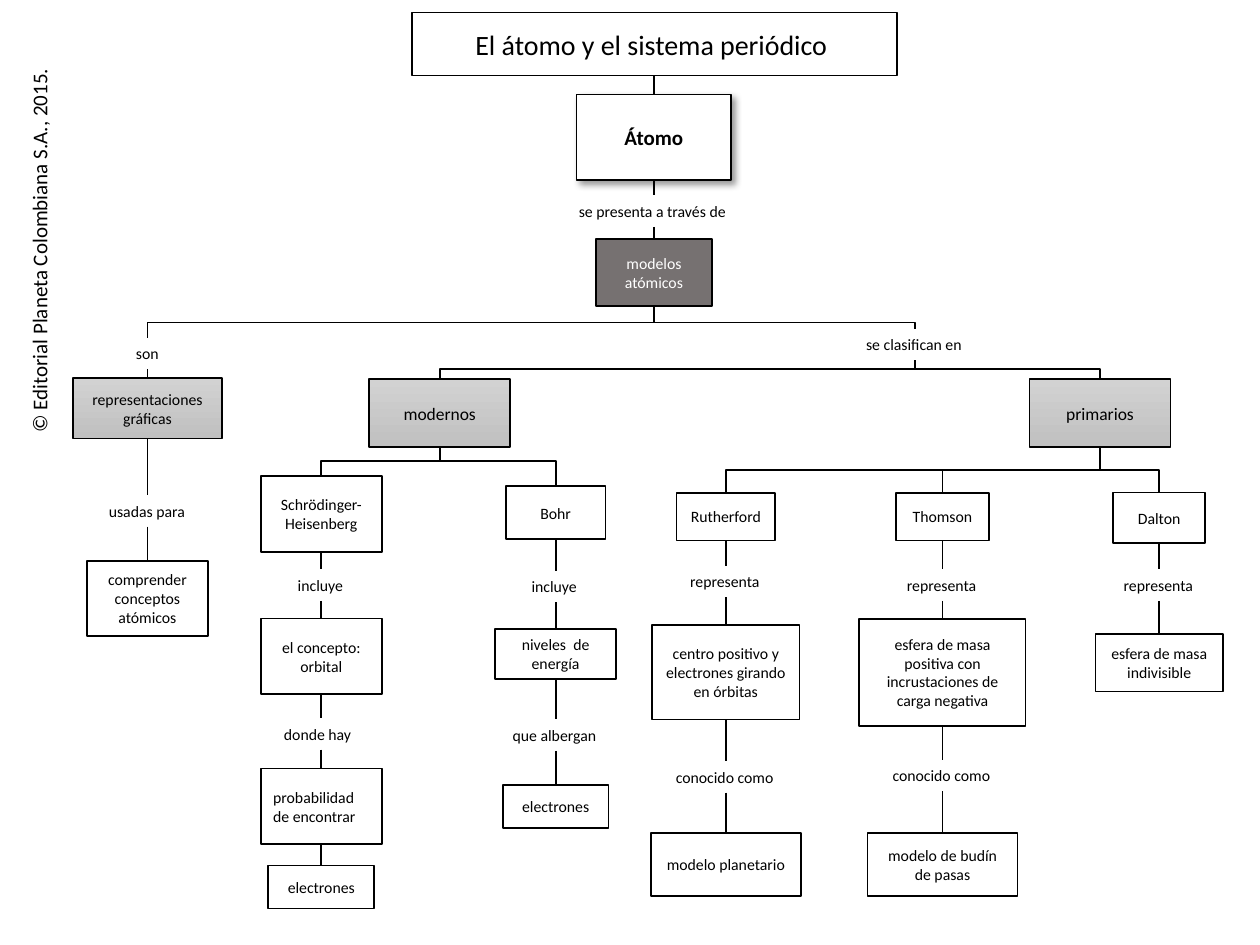
"""Build a concept map of the atom and its models on one slide."""

from itertools import pairwise

from lxml.etree import SubElement
from pptx import Presentation
from pptx.dml.color import RGBColor
from pptx.enum.shapes import MSO_CONNECTOR, MSO_SHAPE
from pptx.enum.text import MSO_ANCHOR, MSO_AUTO_SIZE, PP_ALIGN
from pptx.oxml.ns import qn
from pptx.util import Inches, Pt

BLACK = RGBColor(0x00, 0x00, 0x00)
WHITE = RGBColor(0xFF, 0xFF, 0xFF)
DARK_GRAY = RGBColor(0x76, 0x71, 0x71)
GRAY_TOP = RGBColor(0xD2, 0xD2, 0xD2)
GRAY_BOTTOM = RGBColor(0xC0, 0xC0, 0xC0)

deck = Presentation()
deck.slide_width, deck.slide_height = Inches(10), Inches(7.5)
UNIT = deck.slide_width // 1000
LABEL_ROWS = 25
page = deck.slides.add_slide(deck.slide_layouts[5])


def write(box, text, size=9, color=BLACK, bold=False, align=PP_ALIGN.CENTER,
          anchor=MSO_ANCHOR.MIDDLE, wrap=True):
    frame = box.text_frame
    frame.auto_size = MSO_AUTO_SIZE.NONE
    frame.word_wrap = wrap
    frame.vertical_anchor = anchor
    para = frame.paragraphs[0]
    para.alignment = align
    span = para.add_run()
    span.text = text
    span.font.name = "Calibri"
    span.font.size = Pt(size)
    span.font.bold = bold
    span.font.color.rgb = color


def link(start, end, bar=None):
    (left, top), (right, bottom) = start, end
    corners = [left, top, right, bottom]
    kind = MSO_CONNECTOR.STRAIGHT
    if bar is not None:
        kind = MSO_CONNECTOR.ELBOW
        middle, center = (left + right) / 2, (top + bottom) / 2
        along, across = (bottom - top) / 2, abs(right - left) / 2
        side = 1 if right < left else -1
        corners = [middle - side * along, center - across,
                   middle + side * along, center + across]
    line = page.shapes.add_connector(kind, *(int(value * UNIT) for value in corners))
    line.line.color.rgb = BLACK
    line.line.width = Pt(1)
    properties = line._element.spPr
    SubElement(properties, qn("a:effectLst"))
    if bar is not None:
        properties.find(qn("a:xfrm")).set("rot", str((90 if side > 0 else 270) * 60000))
        guides = properties.find(qn("a:prstGeom")).find(qn("a:avLst"))
        share = round((bar - top) / (bottom - top) * 100000)
        SubElement(guides, qn("a:gd"), name="adj1", fmla=f"val {share}")


title = page.shapes.title
title.left, title.top, title.width, title.height = (
    value * UNIT for value in (327, 10, 385, 50))
title.fill.solid()
title.fill.fore_color.rgb = WHITE
title.line.color.rgb = BLACK
title.line.width = Pt(1)
write(title, "El átomo y el sistema periódico ", size=16)
link((519, 60), (519, 75))

credit = page.shapes.add_textbox(*(value * UNIT for value in (-125, 182, 312, 30)))
credit.rotation = 270
write(credit, "© Editorial Planeta Colombiana S.A., 2015.", size=12,
      align=PP_ALIGN.LEFT, anchor=MSO_ANCHOR.TOP, wrap=False)

chains = [
    (519, [(75, 123, 68, "Átomo", "raised"),
           (155, 139, LABEL_ROWS, "se presenta a través de", "label"),
           (190, 92, 53, "modelos atómicos", "dark")]),
    (726, [(261, 97, LABEL_ROWS, "se clasifican en", "label")]),
    (349, [(301, 112, 54, "modernos", "gray")]),
    (873, [(301, 112, 54, "primarios", "gray")]),
    (117, [(268, 38, LABEL_ROWS, "son", "label"),
           (300, 118, 48, "representaciones gráficas", "small gray"),
           (393, 81, LABEL_ROWS, "usadas para", "label"),
           (445, 96, 60, "comprender conceptos atómicos", "plain")]),
    (255, [(378, 96, 60, "Schrödinger-Heisenberg", "plain"),
           (452, 57, LABEL_ROWS, "incluye", "label"),
           (491, 96, 60, "el concepto: orbital", "plain"),
           (570, 79, LABEL_ROWS, "donde hay", "label"),
           (610, 96, 60, "probabilidad de encontrar", "left"),
           (687, 84, 34, "electrones", "plain")]),
    (441, [(386, 79, 42, "Bohr", "plain"),
           (453, 58, LABEL_ROWS, "incluye", "label"),
           (499, 96, 40, "niveles  de energía", "plain"),
           (571, 88, LABEL_ROWS, "que albergan", "label"),
           (623, 84, 34, "electrones", "plain")]),
    (576, [(391, 78, 38, "Rutherford", "plain"),
           (449, 76, LABEL_ROWS, "representa", "label"),
           (496, 117, 75, "centro positivo y electrones girando en órbitas", "plain"),
           (604, 99, LABEL_ROWS, "conocido como", "label"),
           (661, 119, 50, "modelo planetario", "plain")]),
    (748, [(391, 74, 38, "Thomson", "plain"),
           (452, 76, LABEL_ROWS, "representa", "label"),
           (491, 132, 85,
            "esfera de masa positiva con incrustaciones de carga negativa", "plain"),
           (603, 99, LABEL_ROWS, "conocido como", "label"),
           (661, 119, 50, "modelo de budín de pasas", "plain")]),
    (920, [(391, 73, 40, "Dalton", "plain"),
           (452, 76, LABEL_ROWS, "representa", "label"),
           (503, 101, 46, "esfera de masa indivisible", "plain")]),
]
formats = {
    "plain": {},
    "left": {"align": PP_ALIGN.LEFT},
    "raised": {"size": 12, "bold": True},
    "dark": {"color": WHITE},
    "gray": {"size": 10},
    "small gray": {},
    "label": {"align": PP_ALIGN.LEFT, "anchor": MSO_ANCHOR.TOP, "wrap": False},
}

for column, nodes in chains:
    for top, width, height, text, style in nodes:
        area = [int(value * UNIT) for value in (column - width / 2, top, width, height)]
        if style == "label":
            box = page.shapes.add_textbox(*area)
        else:
            box = page.shapes.add_shape(MSO_SHAPE.RECTANGLE, *area)
            box.shadow.inherit = False
            box.line.color.rgb = BLACK
            box.line.width = Pt(1)
            if style.endswith("gray"):
                box.fill.gradient()
                box.fill.gradient_angle = 270
                for stop, shade in zip(box.fill.gradient_stops, (GRAY_TOP, GRAY_BOTTOM)):
                    stop.color.rgb = shade
            else:
                box.fill.solid()
                box.fill.fore_color.rgb = DARK_GRAY if style == "dark" else WHITE
        if style == "raised":
            effects = box._element.spPr.find(qn("a:effectLst"))
            shadow = SubElement(effects, qn("a:outerShdw"), blurRad=str(Pt(4)),
                                dist=str(Pt(3)), dir=str(45 * 60000), algn="tl")
            shade = SubElement(shadow, qn("a:srgbClr"), val=str(BLACK))
            SubElement(shade, qn("a:alpha"), val="40000")
        write(box, text, **formats[style])
    for upper, lower in pairwise(nodes):
        link((column, upper[0] + upper[2]), (column, lower[0]))

branches = [
    ((519, 243), 256, [(117, 268), (726, 261)]),
    ((726, 286), 293, [(349, 301), (873, 301)]),
    ((349, 355), 366, [(255, 378), (441, 386)]),
    ((873, 355), 373, [(576, 391), (748, 391), (920, 391)]),
]
for start, bar, ends in branches:
    for end in ends:
        link(start, end, bar=bar)

deck.save("out.pptx")
